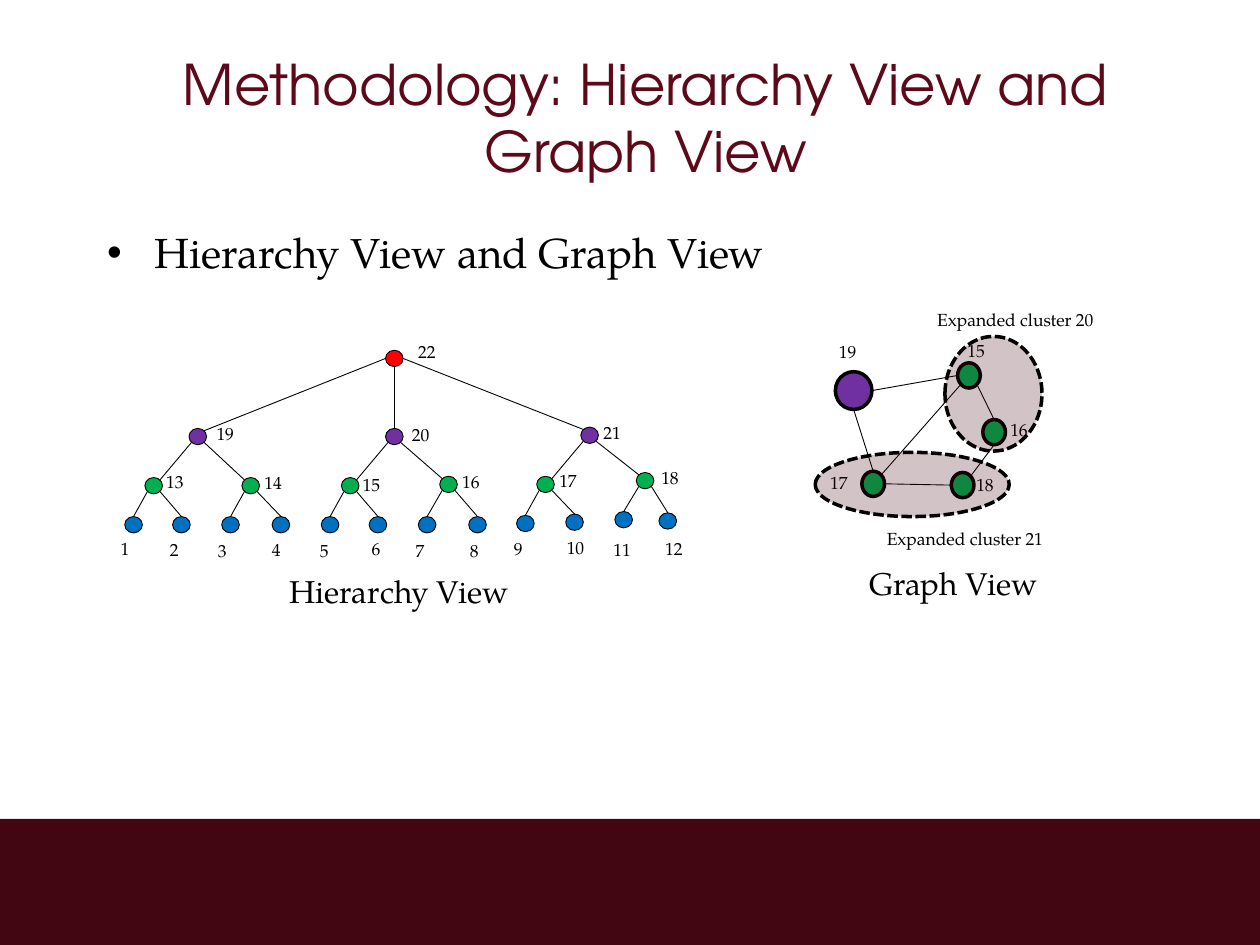
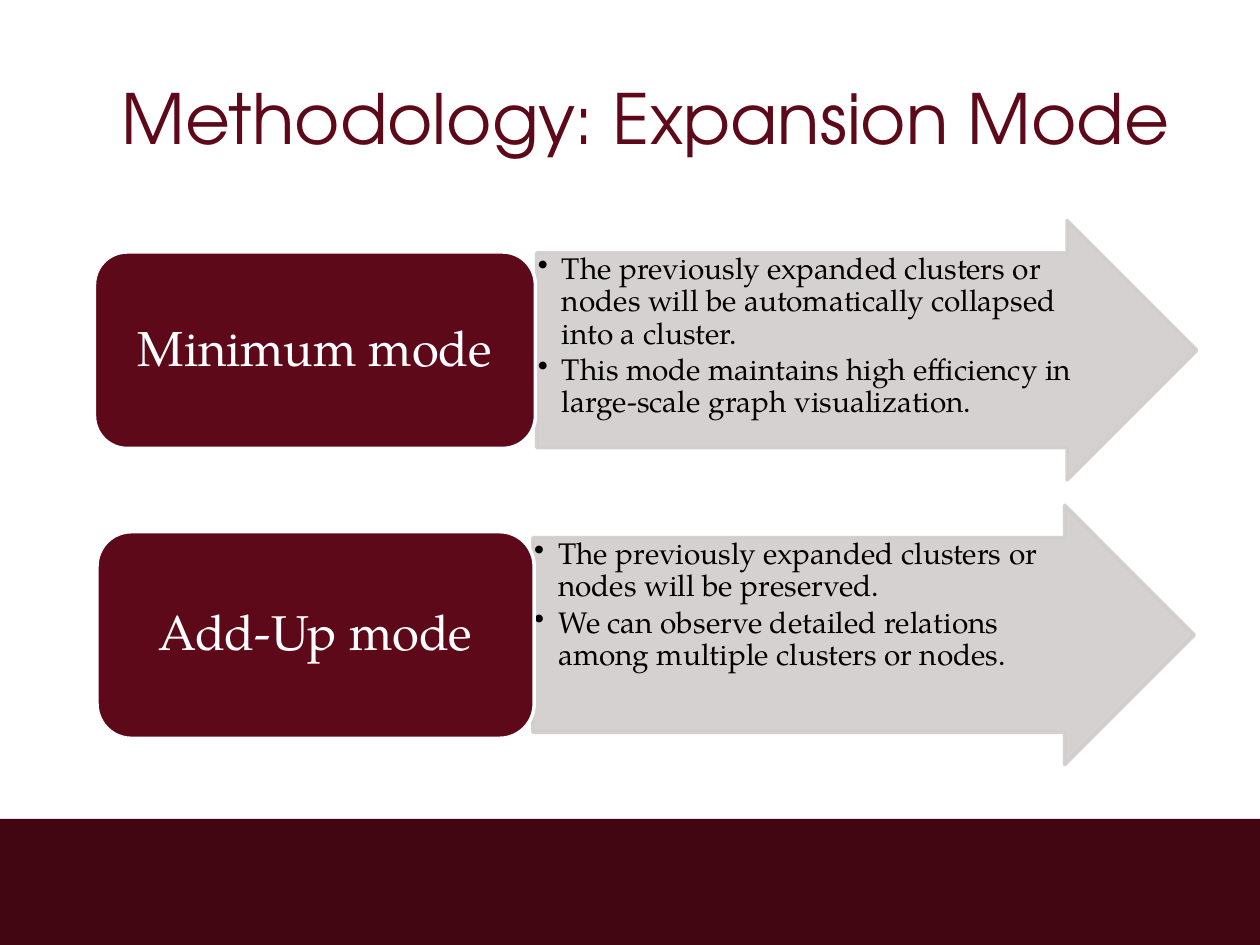
from dataclasses import dataclass

from lxml import etree
from pptx import Presentation
from pptx import util as u
from pptx.dml import color
from pptx.enum import dml, shapes, text
from pptx.oxml import ns


@dataclass(frozen=True)
class Theme:
    title_font: str = "TeX Gyre Adventor"
    body_font: str = "TeX Gyre Pagella"
    ink: str = "000000"
    white: str = "FFFFFF"
    maroon: str = "5E091A"
    band: str = "410611"
    cluster: str = "460714"
    arrow: str = "D2CCCD"
    blue: str = "0070C0"
    green: str = "00B050"
    purple: str = "7030A0"
    red: str = "FF0000"
    label: float = 10
    caption: float = 18
    detail: float = 17
    body: float = 24
    mode: float = 28
    thin: float = 0.5
    thick: float = 2


THEME = Theme()
KIND = shapes.MSO_SHAPE
ALIGN = text.PP_ALIGN
MIDDLE = text.MSO_ANCHOR.MIDDLE

TITLE_AREA = (0.75, 0.3, 8.75, 1.25)
BODY_AREA = (0.75, 1.75, 8.75, 4.32)
BAND_AREA = (0, 6.5, 10, 1)

VIEWS_TITLE = ("Methodology: Hierarchy View and Graph View", 32)
VIEWS_BULLET = "Hierarchy View and Graph View"
MODES_TITLE = ("Methodology: Expansion Mode", 39.6)

TREE_DOT = (0.14, 0.13)
TREE_CHILDREN = {
    22: (19, 20, 21),
    19: (13, 14), 20: (15, 16), 21: (17, 18),
    13: (1, 2), 14: (3, 4), 15: (5, 6),
    16: (7, 8), 17: (9, 10), 18: (11, 12),
}
TREE_NODES = {
    1: (0.99, 4.1), 2: (1.37, 4.1), 3: (1.76, 4.1), 4: (2.16, 4.1),
    5: (2.55, 4.1), 6: (2.93, 4.1), 7: (3.32, 4.1), 8: (3.72, 4.1),
    9: (4.1, 4.09), 10: (4.49, 4.08), 11: (4.88, 4.06), 12: (5.23, 4.07),
    13: (1.15, 3.79), 14: (1.92, 3.79), 15: (2.71, 3.79),
    16: (3.49, 3.78), 17: (4.26, 3.78), 18: (5.05, 3.75),
    19: (1.5, 3.4), 20: (3.06, 3.4), 21: (4.61, 3.39), 22: (3.06, 2.78),
}
TREE_LABELS = {
    1: (0.86, 4.22), 2: (1.25, 4.23), 3: (1.63, 4.24), 4: (2.06, 4.23),
    5: (2.44, 4.24), 6: (2.85, 4.22), 7: (3.2, 4.24), 8: (3.63, 4.24),
    9: (3.98, 4.22), 10: (4.4, 4.21), 11: (4.77, 4.23), 12: (5.18, 4.22),
    13: (1.22, 3.69), 14: (2, 3.7), 15: (2.78, 3.71),
    16: (3.57, 3.69), 17: (4.34, 3.68), 18: (5.15, 3.66),
    19: (1.62, 3.31), 20: (3.17, 3.32), 21: (4.69, 3.3), 22: (3.22, 2.66),
}

GRAPH_NODES = {
    15: (7.6, 2.88, 0.18, 0.2), 16: (7.8, 3.33, 0.18, 0.2),
    17: (6.84, 3.74, 0.18, 0.2), 18: (7.55, 3.75, 0.18, 0.2),
    19: (6.63, 2.95, 0.29, 0.3),
}
GRAPH_LABELS = {
    15: (7.58, 2.65), 16: (7.92, 3.28), 17: (6.49, 3.7),
    18: (7.65, 3.71), 19: (6.56, 2.66),
}
GRAPH_LINKS = [
    (19, "E", 15, "W"), (19, "S", 17, "N"), (15, "SW", 17, "NE"),
    (15, "SE", 16, "N"), (16, "S", 18, "NE"), (17, "E", 18, "W"),
]
CLUSTERS = [(7.5, 2.67, 0.77, 0.91), (6.47, 3.59, 1.54, 0.51)]
CAPTIONS = [
    ("Expanded cluster 21", (6.94, 4.14, 1.57, 0.27), THEME.label),
    ("Expanded cluster 20", (7.34, 2.4, 1.57, 0.27), THEME.label),
    ("Hierarchy View", (2.2, 4.49, 2.08, 0.4), THEME.caption),
    ("Graph View", (6.8, 4.43, 1.76, 0.4), THEME.caption),
]

MODES = [
    {
        "name": "Minimum mode",
        "box": (0.75, 2, 3.5, 1.56),
        "arrow": (4.26, 1.75, 5.24, 2.06),
        "details": [
            "The previously expanded clusters or nodes will be automatically collapsed into a cluster.",
            "This mode maintains high efficiency in large-scale graph visualization.",
        ],
    },
    {
        "name": "Add-Up mode",
        "box": (0.77, 4.22, 3.47, 1.64),
        "arrow": (4.23, 4.01, 5.25, 2.06),
        "details": [
            "The previously expanded clusters or nodes will be preserved.",
            "We can observe detailed relations among multiple clusters or nodes.",
        ],
    },
]

DIAGONAL = 0.71
SITES = {
    "N": (0, -1), "S": (0, 1), "W": (-1, 0), "E": (1, 0),
    "NW": (-DIAGONAL, -DIAGONAL), "NE": (DIAGONAL, -DIAGONAL),
    "SW": (-DIAGONAL, DIAGONAL), "SE": (DIAGONAL, DIAGONAL),
}


def inches(values):
    return [u.Inches(value) for value in values]


def rgb(code):
    return color.RGBColor.from_string(code)


def write(para, words, size, tone=THEME.ink, font=THEME.body_font):
    span = para.add_run()
    span.text = words
    span.font.size = u.Pt(size)
    span.font.name = font
    span.font.color.rgb = rgb(tone)


def set_alpha(shape, percent):
    for tone in shape._element.spPr.iter(ns.qn("a:srgbClr")):
        etree.SubElement(tone, ns.qn("a:alpha"), val=str(percent * 1000))


def add_shape(page, kind, area, fill, line=None, width=THEME.thin):
    shape = page.shapes.add_shape(kind, *inches(area))
    shape.shadow.inherit = False
    shape.fill.solid()
    shape.fill.fore_color.rgb = rgb(fill)
    if line:
        shape.line.color.rgb = rgb(line)
        shape.line.width = u.Pt(width)
    else:
        shape.line.fill.background()
    return shape


def add_box(page, area):
    box = page.shapes.add_textbox(*inches(area))
    box.text_frame.word_wrap = True
    return box.text_frame


def add_label(page, words, area, size=THEME.label):
    write(add_box(page, area).paragraphs[0], words, size)


def add_line(page, start, end):
    line = page.shapes.add_connector(
        shapes.MSO_CONNECTOR.STRAIGHT, *inches(start + end))
    line.line.color.rgb = rgb(THEME.ink)
    line.line.width = u.Pt(THEME.thin)
    etree.SubElement(line._element.spPr, ns.qn("a:effectLst"))


def site(area, name):
    left, top, width, height = area
    across, down = SITES[name]
    return left + width / 2 * (1 + across), top + height / 2 * (1 + down)


def place(placeholder, area):
    (placeholder.left, placeholder.top,
     placeholder.width, placeholder.height) = inches(area)
    placeholder.text_frame.auto_size = text.MSO_AUTO_SIZE.NONE
    return placeholder.text_frame


def start_page(deck, layout, title):
    page = deck.slides.add_slide(deck.slide_layouts[layout])
    add_shape(page, KIND.RECTANGLE, BAND_AREA, THEME.band)
    frame = place(page.shapes.title, TITLE_AREA)
    frame.vertical_anchor = MIDDLE
    para = frame.paragraphs[0]
    para.alignment = ALIGN.CENTER
    write(para, *title, THEME.maroon, THEME.title_font)
    return page


def node_color(number):
    for last, tone in ((12, THEME.blue), (18, THEME.green), (21, THEME.purple)):
        if number <= last:
            return tone
    return THEME.red


def tree_sites(parent, child):
    gap = TREE_NODES[child][0] - TREE_NODES[parent][0]
    if gap == 0:
        return "S", "N"
    away, back = ("E", "W") if gap > 0 else ("W", "E")
    start = away if parent == 22 else "S" + away
    return start, "N" if child <= 12 else "N" + back


def draw_network(page, nodes, links, labels, width, label_size):
    for number, area in nodes.items():
        add_shape(page, KIND.FLOWCHART_CONNECTOR, area,
                  node_color(number), THEME.ink, width)
    for first, start, second, end in links:
        add_line(page, site(nodes[first], start), site(nodes[second], end))
    for number, corner in labels.items():
        add_label(page, str(number), corner + label_size)


def build_views(deck):
    page = start_page(deck, 1, VIEWS_TITLE)
    para = place(page.placeholders[1], BODY_AREA).paragraphs[0]
    para.space_before = u.Pt(0)
    write(para, VIEWS_BULLET, THEME.body)

    tree = {number: corner + TREE_DOT for number, corner in TREE_NODES.items()}
    links = []
    for parent, children in TREE_CHILDREN.items():
        for child in children:
            start, end = tree_sites(parent, child)
            links.append((parent, start, child, end))
    draw_network(page, tree, links, TREE_LABELS, THEME.thin, (0.48, 0.23))
    draw_network(page, GRAPH_NODES, GRAPH_LINKS, GRAPH_LABELS,
                 THEME.thick, (0.43, 0.27))

    for area in CLUSTERS:
        cluster = add_shape(page, KIND.OVAL, area, THEME.cluster)
        set_alpha(cluster, 24)
        cluster.line.color.rgb = rgb(THEME.ink)
        cluster.line.width = u.Pt(THEME.thick)
        cluster.line.dash_style = dml.MSO_LINE.SQUARE_DOT
    for words, area, size in CAPTIONS:
        add_label(page, words, area, size)


def add_bullet(para):
    props = para._p.get_or_add_pPr()
    props.set("marL", str(u.Inches(0.19)))
    props.set("indent", str(u.Inches(-0.19)))
    etree.SubElement(props, ns.qn("a:buChar"), char="•")


def draw_mode(page, mode):
    left, top, width, height = mode["arrow"]
    arrow = add_shape(page, KIND.RIGHT_ARROW, mode["arrow"],
                      THEME.arrow, THEME.arrow, THEME.thick)
    arrow.adjustments[0], arrow.adjustments[1] = 0.75, 0.5
    set_alpha(arrow, 90)

    frame = add_box(page, (left, top + height / 8,
                           width - height * 3 / 8, height * 3 / 4))
    frame.margin_left = frame.margin_right = u.Inches(0.01)
    frame.margin_top = frame.margin_bottom = u.Inches(0.01)
    for index, words in enumerate(mode["details"]):
        para = frame.add_paragraph() if index else frame.paragraphs[0]
        add_bullet(para)
        para.line_spacing = 0.9
        para.space_after = u.Pt(THEME.detail * 0.15)
        write(para, words, THEME.detail)

    box = add_shape(page, KIND.ROUNDED_RECTANGLE, mode["box"],
                    THEME.maroon, THEME.white, THEME.thick)
    box.text_frame.word_wrap = True
    box.text_frame.vertical_anchor = MIDDLE
    para = box.text_frame.paragraphs[0]
    para.alignment = ALIGN.CENTER
    para.line_spacing = 0.9
    write(para, mode["name"], THEME.mode, THEME.white)


def build_modes(deck):
    page = start_page(deck, 5, MODES_TITLE)
    for mode in MODES:
        draw_mode(page, mode)


def main():
    deck = Presentation()
    deck.slide_width, deck.slide_height = inches((10, 7.5))
    build_views(deck)
    build_modes(deck)
    deck.save("out.pptx")


if __name__ == "__main__":
    main()
